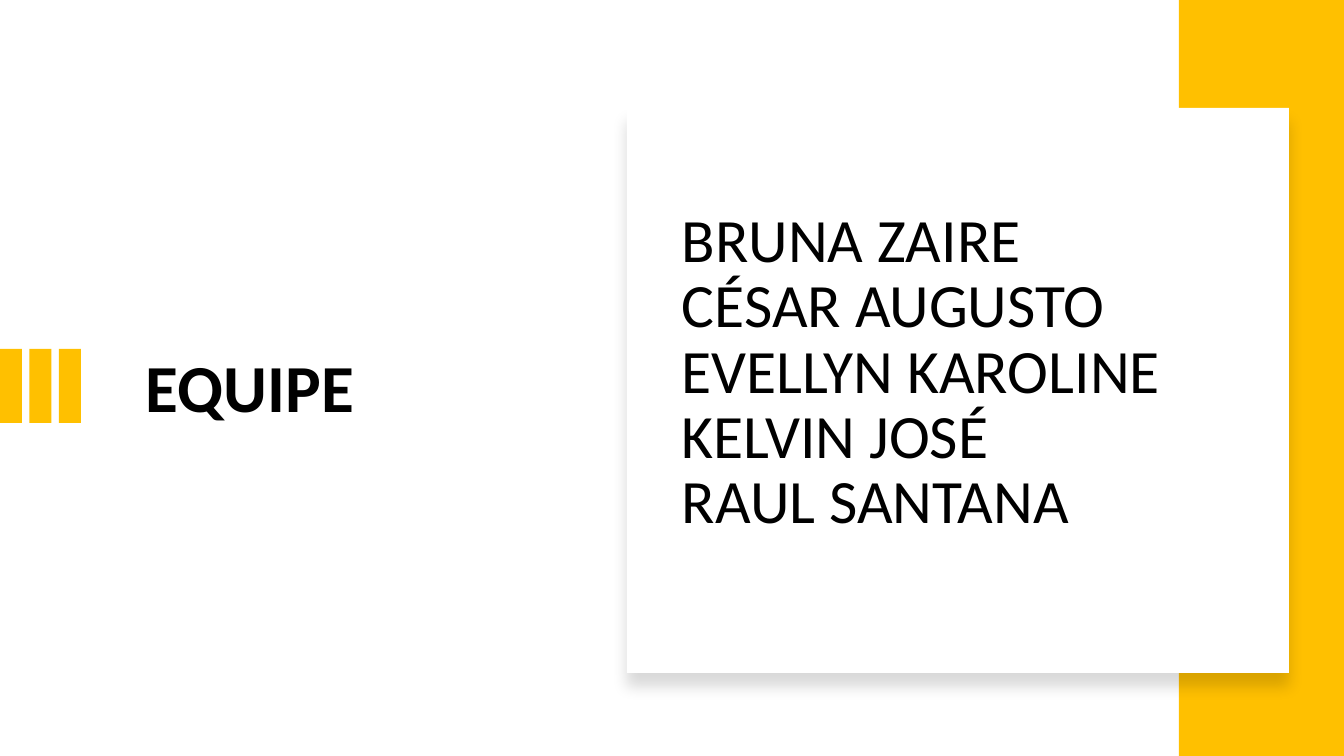
from lxml import etree
from pptx import Presentation
from pptx import util as u
from pptx.dml.color import RGBColor
from pptx.enum import shapes, text
from pptx.oxml.ns import qn

COLORS = {"yellow": "FFC000", "white": "FFFFFF", "black": "000000"}
FONT = "Calibri"
SLIDE_W, SLIDE_H = 1344, 756
TEAM = ["BRUNA ZAIRE", "CÉSAR AUGUSTO", "EVELLYN KAROLINE", "KELVIN JOSÉ", "RAUL SANTANA"]


def px(n):
    return u.Emu(round(n * 914400 / 100.8))


def add_rect(parent, x, y, w, h, color):
    sp = parent.add_shape(shapes.MSO_SHAPE.RECTANGLE, px(x), px(y), px(w), px(h))
    sp.shadow.inherit = False
    sp.fill.solid()
    sp.fill.fore_color.rgb = RGBColor.from_string(COLORS[color])
    sp.line.fill.background()
    return sp


def add_drop_shadow(sp, blur, dist, alpha):
    """Cast a soft black shadow straight down; blur and dist in points, alpha in percent."""
    effects = sp._element.spPr.find(qn("a:effectLst"))
    shadow = etree.SubElement(effects, qn("a:outerShdw"), blurRad=str(u.Pt(blur)),
                              dist=str(u.Pt(dist)), dir="5400000",
                              algn="ctr", rotWithShape="0")
    color = etree.SubElement(shadow, qn("a:srgbClr"), val=COLORS["black"])
    etree.SubElement(color, qn("a:alpha"), val=str(alpha * 1000))


def add_lines(slide, x, y, w, h, lines, size, bold=False, spacing=0.9, bottom=5):
    """Add one vertically centred paragraph with a line break between lines."""
    tf = slide.shapes.add_textbox(px(x), px(y), px(w), px(h)).text_frame
    tf.word_wrap = True
    tf.vertical_anchor = text.MSO_ANCHOR.MIDDLE
    tf.margin_bottom = px(bottom)
    p = tf.paragraphs[0]
    p.line_spacing = spacing
    for i, line in enumerate(lines):
        if i:
            p.add_line_break()
        r = p.add_run()
        r.text = line
        r.font.name = FONT
        r.font.size = u.Pt(size)
        r.font.bold = bold
        r.font.color.rgb = RGBColor.from_string(COLORS["black"])


def add_accent_bars(slide, x, y, w, h, count=3, bar_w=22):
    group = slide.shapes.add_group_shape()
    step = (w - bar_w) / (count - 1)
    for i in range(count):
        add_rect(group.shapes, x + i * step, y, bar_w, h, "yellow")


def add_team_card(slide, x, y, w, h):
    card = add_rect(slide.shapes, x, y, w, h, "white")
    add_drop_shadow(card, blur=11, dist=10, alpha=15)
    add_lines(slide, x + 45, y + 39, w - 82, h - 82, TEAM, 44, spacing=0.88, bottom=35)


def add_team_slide(prs):
    slide = prs.slides.add_slide(prs.slide_layouts[6])
    add_lines(slide, 136, 149, 430, 483, ["EQUIPE"], 48, bold=True)
    add_accent_bars(slide, 0, 349, 81, 74)
    add_rect(slide.shapes, 1179, 0, SLIDE_W - 1179, SLIDE_H, "yellow")
    add_team_card(slide, 627, 108, 662, 565)


def main():
    prs = Presentation()
    prs.slide_width, prs.slide_height = px(SLIDE_W), px(SLIDE_H)
    add_team_slide(prs)
    prs.save("out.pptx")


if __name__ == "__main__":
    main()
